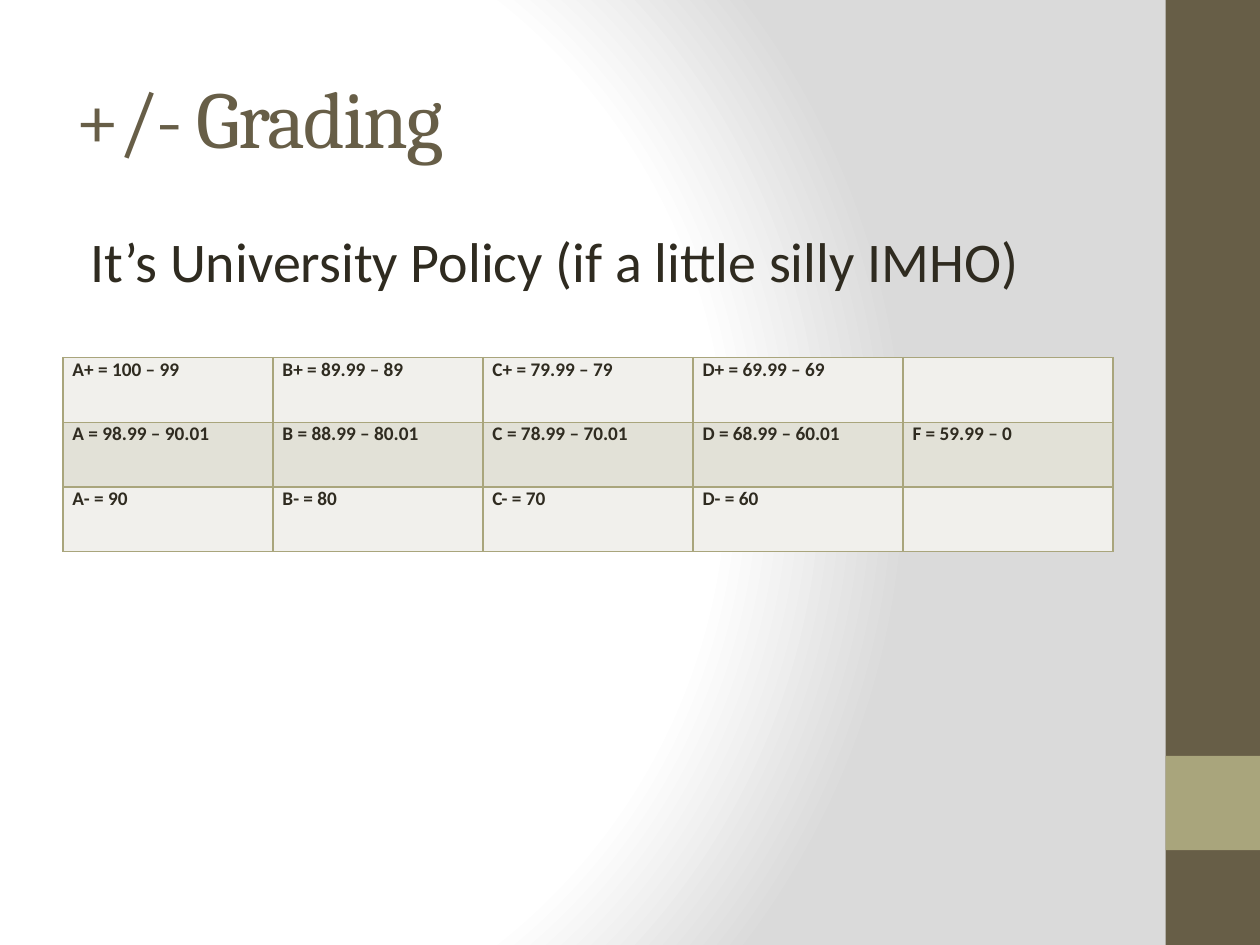
from lxml.etree import SubElement
from pptx import Presentation
from pptx.dml.color import RGBColor
from pptx.enum.shapes import MSO_SHAPE
from pptx.enum.text import MSO_ANCHOR, PP_ALIGN
from pptx.oxml.ns import qn
from pptx.util import Cm, Pt

BROWN, OLIVE, INK = "675E47", "A9A57C", "2F2B20"
BANDS = ("F1F0EC", "E2E1D7")
GRADES = [
    ["A+ = 100 – 99", "B+ = 89.99 – 89", "C+ = 79.99 – 79", "D+ = 69.99 – 69", ""],
    ["A = 98.99 – 90.01", "B = 88.99 – 80.01", "C = 78.99 – 70.01",
     "D = 68.99 – 60.01", "F = 59.99 – 0"],
    ["A- = 90", "B- = 80", "C- = 70", "D- = 60", ""],
]


def rgb(value):
    """Turn a hex string into a colour."""
    return RGBColor.from_string(value)


def style(p, font, size, color, bold=False):
    """Format every run of a paragraph."""
    for r in p.runs:
        r.font.name, r.font.size, r.font.bold = font, Pt(size), bold
        r.font.color.rgb = rgb(color)


def add_fill_xml(parent, color):
    """Append a solid fill to an XML element."""
    SubElement(SubElement(parent, qn("a:solidFill")), qn("a:srgbClr"), val=color)


def set_background(s):
    """Give the slide a circular white to grey gradient."""
    fill = s.background.fill
    fill.gradient()
    grad = s.element.find(".//" + qn("a:gradFill"))
    for child in list(grad):
        grad.remove(child)
    stops = SubElement(grad, qn("a:gsLst"))
    for pos, color in ((0, "FFFFFF"), (75, "FFFFFF"), (100, "DADADA")):
        gs = SubElement(stops, qn("a:gs"), pos=str(pos * 1000))
        SubElement(gs, qn("a:srgbClr"), val=color)
    circle = SubElement(grad, qn("a:path"), path="circle")
    SubElement(circle, qn("a:fillToRect"), l="20000", t="50000", r="100000", b="50000")


def add_side_band(s, x, y, w, h):
    """Draw the side band with its square accent."""
    for top, height, color in ((y, h, BROWN), (y + h * 0.8, w, OLIVE)):
        sp = s.shapes.add_shape(MSO_SHAPE.RECTANGLE, Cm(x), Cm(top), Cm(w), Cm(height))
        sp.shadow.inherit = False
        sp.fill.solid()
        sp.fill.fore_color.rgb = rgb(color)
        sp.line.fill.background()


def set_title(s, text, x, y, w, h):
    """Place and format the title placeholder."""
    sp = s.shapes.title
    sp.left, sp.top, sp.width, sp.height = Cm(x), Cm(y), Cm(w), Cm(h)
    tf = sp.text_frame
    tf.text = text
    tf.vertical_anchor = MSO_ANCHOR.MIDDLE
    p = tf.paragraphs[0]
    p.alignment = PP_ALIGN.LEFT
    style(p, "Cambria", 46, BROWN)
    p.runs[0].font._element.set("spc", "-100")


def add_body(s, text, x, y, w, h):
    """Add the statement under the title."""
    tf = s.shapes.add_textbox(Cm(x), Cm(y), Cm(w), Cm(h)).text_frame
    tf.word_wrap = True
    tf.text = text
    tf.margin_left = Cm(0.55)
    style(tf.paragraphs[0], "Calibri", 32, INK)


def format_cell(cell, text, fill):
    """Fill, border and label one table cell."""
    cell.text = text
    cell.margin_left = cell.margin_right = Cm(0.19)
    cell.margin_top = cell.margin_bottom = 0
    style(cell.text_frame.paragraphs[0], "Calibri", 11, INK, True)
    tc_pr = cell._tc.get_or_add_tcPr()
    for side in ("a:lnL", "a:lnR", "a:lnT", "a:lnB"):
        add_fill_xml(SubElement(tc_pr, qn(side), w=str(Pt(1))), OLIVE)
    cell.fill.solid()
    cell.fill.fore_color.rgb = rgb(fill)


def add_grades(s, rows, x, y, w, h):
    """Add the grade table with equal rows and columns."""
    n_rows, n_cols = len(rows), len(rows[0])
    table = s.shapes.add_table(n_rows, n_cols, Cm(x), Cm(y), Cm(w), Cm(h)).table
    table.first_row = table.horz_banding = False
    for i, row in enumerate(rows):
        for j, text in enumerate(row):
            format_cell(table.cell(i, j), text, BANDS[i % 2])


def main():
    """Build and save the slide."""
    prs = Presentation()
    prs.slide_width, prs.slide_height = Cm(25.4), Cm(19.05)
    s = prs.slides.add_slide(prs.slide_layouts[5])
    left, width = 1.27, 21.17
    set_background(s)
    add_side_band(s, 23.5, 0, 1.9, 19.05)
    set_title(s, "+/- Grading", left, 0.76, width, 3.18)
    add_body(s, "It’s University Policy (if a little silly IMHO)", left, 4.45, width, 13.33)
    add_grades(s, GRADES, left, 7.21, width, 3.91)
    prs.save("out.pptx")


if __name__ == "__main__":
    main()
